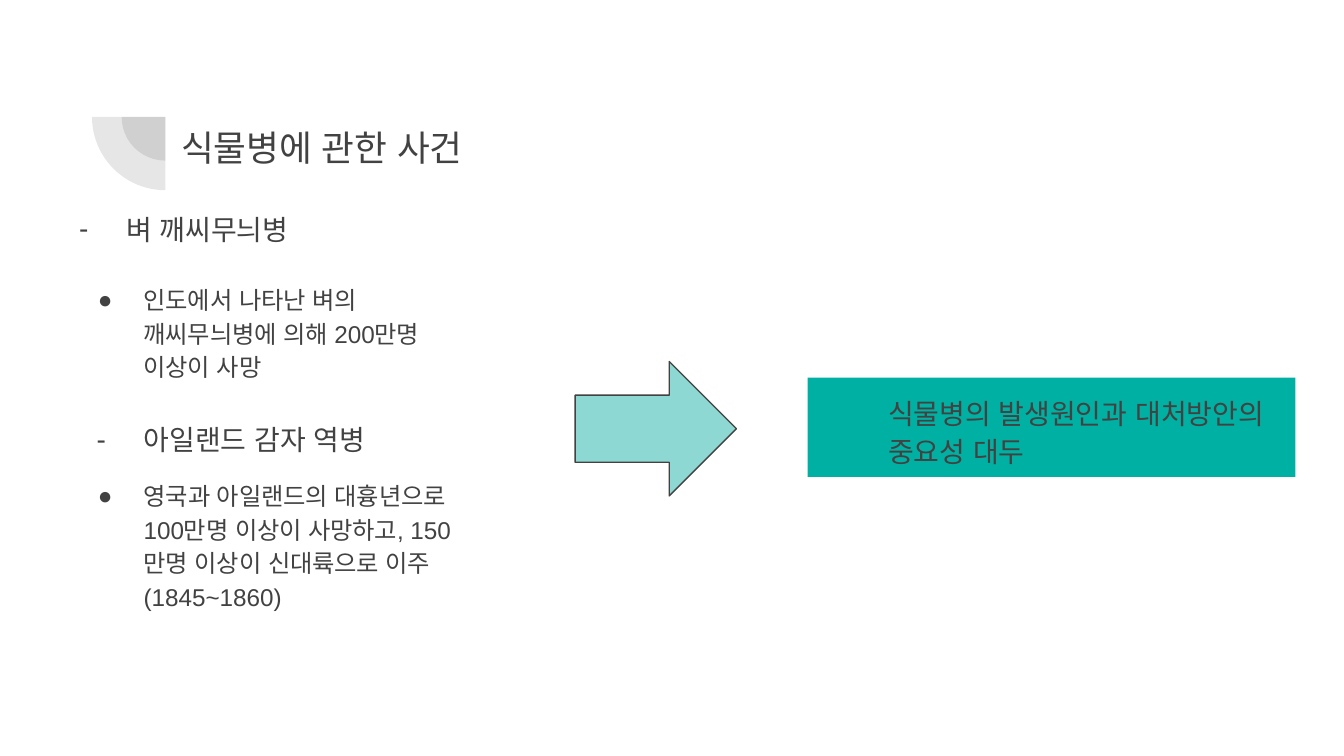
from dataclasses import dataclass

import pptx
import pptx.dml.color
import pptx.enum.shapes
import pptx.enum.text
import pptx.oxml
import pptx.oxml.ns
import pptx.util
from pptx.util import Inches, Pt

INK = "424242"
TEAL = "00B0A2"
PALE_TEAL = "8DD8D3"
HEADING_FONT = "TeX Gyre Adventor"
BODY_FONT = "Arial"
SHAPES = pptx.enum.shapes.MSO_SHAPE
PAGE_WIDTH = 10
PAGE_HEIGHT = PAGE_WIDTH * 9 / 16


@dataclass
class Place:
    left: float
    top: float
    width: float
    height: float

    def lengths(self) -> tuple:
        return tuple(Inches(n) for n in (self.left, self.top, self.width, self.height))


@dataclass
class Label:
    text: str
    place: Place
    font: str
    size: float
    bullet: str = ""
    margin: float = 0
    hanging: float = 0
    line_spacing: float = 1.15


def rgb(value: str) -> pptx.dml.color.RGBColor:
    return pptx.dml.color.RGBColor.from_string(value)


def add_child(parent, tag: str, **attributes):
    child = pptx.oxml.parse_xml(f"<a:{tag} {pptx.oxml.ns.nsdecls('a')}/>")
    for name, value in attributes.items():
        child.set(name, str(value))
    parent.append(child)
    return child


def add_filled(page, kind, place: Place, fill: str):
    shape = page.shapes.add_shape(kind, *place.lengths())
    shape.shadow.inherit = False
    shape.fill.solid()
    shape.fill.fore_color.rgb = rgb(fill)
    shape.line.fill.background()
    return shape


def add_quarter(page, centre_x: float, centre_y: float, diameter: float) -> None:
    """Draw a translucent lower-left quarter disc."""
    place = Place(centre_x - diameter / 2, centre_y - diameter / 2, diameter, diameter)
    quarter = add_filled(page, SHAPES.PIE, place, INK)
    quarter.rotation = 270
    quarter.adjustments[0] = 108
    quarter.adjustments[1] = 162
    colour = quarter.fill._xPr.find(".//" + pptx.oxml.ns.qn("a:srgbClr"))
    add_child(colour, "alpha", val=13000)


def write_label(box, label: Label) -> None:
    frame = box.text_frame
    frame.word_wrap = True
    frame.vertical_anchor = pptx.enum.text.MSO_ANCHOR.TOP
    frame.margin_left = frame.margin_right = Inches(0.1)
    frame.margin_top = frame.margin_bottom = Inches(0.1)
    para = frame.paragraphs[0]
    para.alignment = pptx.enum.text.PP_ALIGN.LEFT
    para.line_spacing = label.line_spacing
    properties = para._p.get_or_add_pPr()
    properties.set("marL", str(Inches(label.margin)))
    properties.set("indent", str(-Inches(label.hanging)))
    if label.bullet:
        add_child(add_child(properties, "buClr"), "srgbClr", val=INK)
        add_child(properties, "buFont", typeface=BODY_FONT)
        add_child(properties, "buChar", char=label.bullet)
    span = para.add_run()
    span.text = label.text
    span.font.size = Pt(label.size)
    span.font.color.rgb = rgb(INK)
    span.font.name = label.font
    add_child(span._r.get_or_add_rPr(), "ea", typeface=label.font)


def heading(text: str, left: float, top: float) -> Label:
    return Label(text, Place(left, top, 9.32, 0.55), HEADING_FONT, 15, "-", 0.5, 0.35)


def detail(text: str, place: Place) -> Label:
    return Label(text, place, BODY_FONT, 13, "●", 0.5, 0.34)


LABELS = [
    Label("식물병에 관한 사건", Place(1.25, 0.86, 9.32, 0.61),
          HEADING_FONT, 19.1, line_spacing=0.95),
    heading("벼 깨씨무늬병", 0.34, 1.44),
    detail("인도에서 나타난 벼의 깨씨무늬병에 의해 200만명 이상이 사망",
           Place(0.47, 1.99, 2.9, 0.92)),
    heading("아일랜드 감자 역병", 0.47, 3.01),
    detail("영국과 아일랜드의 대흉년으로 100만명 이상이 사망하고, "
           "150만명 이상이 신대륙으로 이주(1845~1860)",
           Place(0.47, 3.45, 3.28, 1.18)),
]
CONCLUSION = Label("식물병의 발생원인과 대처방안의 중요성 대두",
                   Place(6.01, 2.81, 3.63, 0.74), BODY_FONT, 15, margin=0.5)


def main() -> None:
    deck = pptx.Presentation()
    deck.slide_width = Inches(PAGE_WIDTH)
    deck.slide_height = Inches(PAGE_HEIGHT)
    page = deck.slides.add_slide(deck.slide_layouts[6])

    for diameter in (0.65, 1.09):
        add_quarter(page, 1.23, 0.87, diameter)
    for label in LABELS:
        write_label(page.shapes.add_textbox(*label.place.lengths()), label)

    arrow = add_filled(page, SHAPES.RIGHT_ARROW, Place(4.28, 2.69, 1.2, 1), PALE_TEAL)
    arrow.line.color.rgb = rgb(INK)
    arrow.line.width = Pt(0.75)
    write_label(add_filled(page, SHAPES.RECTANGLE, CONCLUSION.place, TEAL), CONCLUSION)

    deck.save("out.pptx")


if __name__ == "__main__":
    main()
